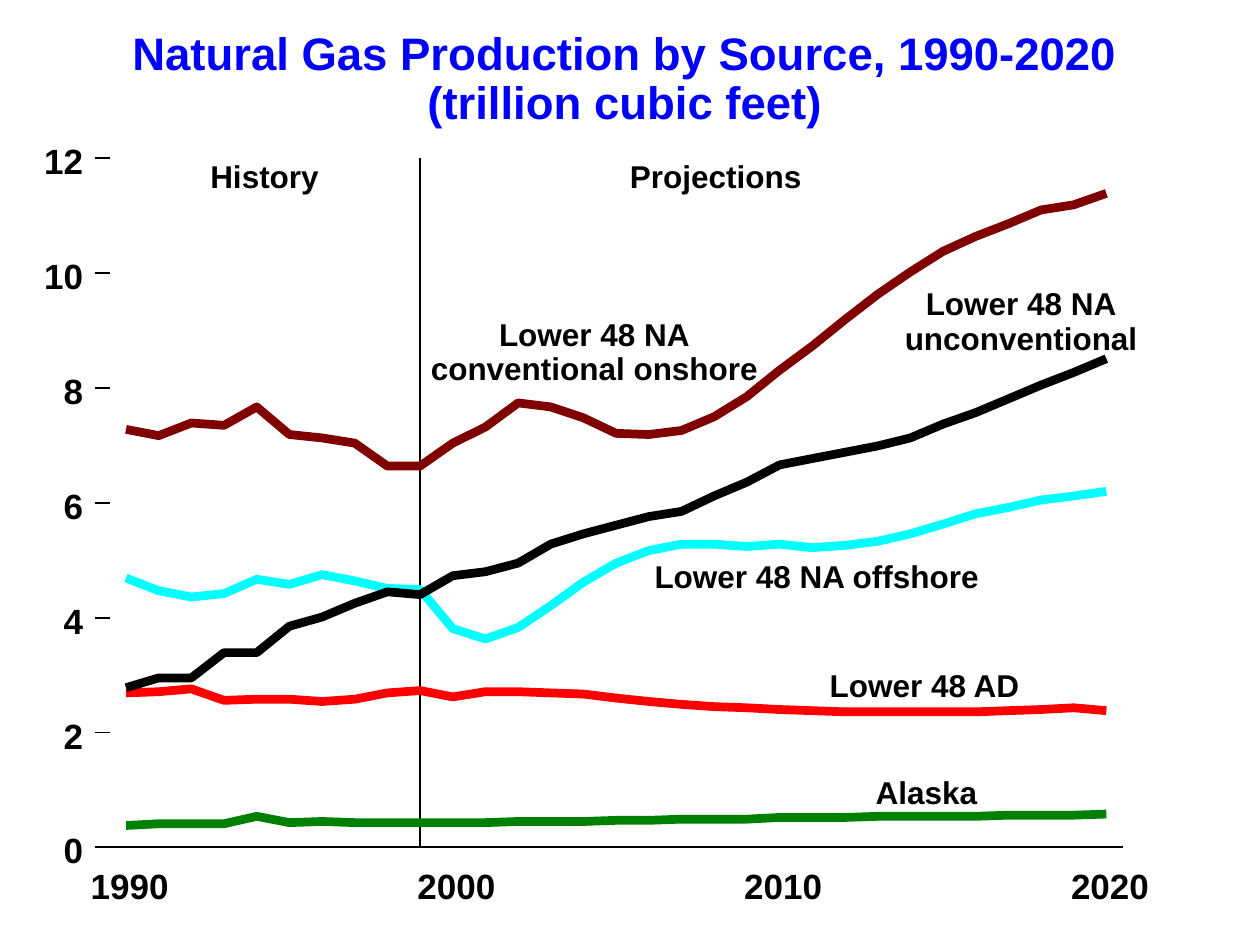
from lxml import etree
from pptx import Presentation
from pptx.dml.color import RGBColor
from pptx.enum import shapes, text
from pptx.oxml.ns import qn
from pptx.util import Pt

FIRST_YEAR, LAST_YEAR, MAX_VALUE = 1990, 2020, 12

SERIES = [
    ("008000", [0.38, 0.41, 0.41, 0.41, 0.54, 0.43, 0.45, 0.43, 0.43, 0.43, 0.43,
                0.43, 0.45, 0.45, 0.45, 0.47, 0.47, 0.49, 0.49, 0.49, 0.52,
                0.52, 0.52, 0.54, 0.54, 0.54, 0.54, 0.56, 0.56, 0.56, 0.58]),
    ("00FFFF", [4.69, 4.47, 4.36, 4.42, 4.67, 4.58, 4.75, 4.64, 4.51, 4.49, 3.81,
                3.63, 3.83, 4.21, 4.62, 4.95, 5.17, 5.28, 5.28, 5.24, 5.28,
                5.22, 5.26, 5.33, 5.46, 5.63, 5.81, 5.92, 6.05, 6.12, 6.2]),
    ("FF0000", [2.69, 2.71, 2.76, 2.56, 2.58, 2.58, 2.54, 2.58, 2.69, 2.73, 2.62,
                2.71, 2.71, 2.69, 2.67, 2.6, 2.54, 2.49, 2.45, 2.43, 2.4,
                2.38, 2.36, 2.36, 2.36, 2.36, 2.36, 2.38, 2.4, 2.43, 2.38]),
    ("000000", [2.78, 2.95, 2.95, 3.39, 3.39, 3.85, 4.01, 4.25, 4.45, 4.4, 4.73,
                4.8, 4.95, 5.28, 5.46, 5.61, 5.76, 5.85, 6.12, 6.36, 6.66,
                6.77, 6.88, 6.99, 7.13, 7.37, 7.57, 7.81, 8.05, 8.27, 8.51]),
    ("800000", [7.28, 7.17, 7.39, 7.35, 7.67, 7.19, 7.13, 7.04, 6.64, 6.64, 7.04,
                7.32, 7.74, 7.67, 7.48, 7.21, 7.19, 7.26, 7.5, 7.85, 8.31,
                8.73, 9.19, 9.63, 10.02, 10.38, 10.64, 10.86, 11.1, 11.19, 11.39]),
]

LABELS = [
    (173.2, 92.2, 189, ["Lower 48 NA", "conventional onshore"]),
    (47.2, 1.5, 64, ["History"]),
    (287, 1.5, 100, ["Projections"]),
    (400.8, 292.3, 111, ["Lower 48 AD"]),
    (427.4, 353.5, 60, ["Alaska"]),
    (444, 74.5, 135, ["Lower 48 NA", "unconventional"]),
    (300.7, 230, 188, ["Lower 48 NA offshore"]),
]


def rgb(value):
    """Turn a hex string into a colour."""
    return RGBColor.from_string(value)


def add_text(s, box, lines, size, color="000000", align="CENTER", spacing=None):
    """Place bold lines of text in a box without margins."""
    sp = s.shapes.add_textbox(*map(Pt, box))
    tf = sp.text_frame
    tf.margin_left = tf.margin_top = tf.margin_right = tf.margin_bottom = 0
    tf.word_wrap = False
    tf.auto_size = text.MSO_AUTO_SIZE.SHAPE_TO_FIT_TEXT
    tf.text = "\n".join(lines)
    for p in tf.paragraphs:
        p.alignment = getattr(text.PP_ALIGN, align)
        if spacing:
            p.line_spacing = spacing
        for r in p.runs:
            r.font.name, r.font.size, r.font.bold = "Arial", Pt(size), True
            r.font.color.rgb = rgb(color)


def add_rule(s, x1, y1, x2, y2):
    """Draw a thin black straight line."""
    sp = s.shapes.add_connector(shapes.MSO_CONNECTOR.STRAIGHT, *map(Pt, (x1, y1, x2, y2)))
    sp.line.color.rgb, sp.line.width = rgb("000000"), Pt(1)
    etree.SubElement(sp._element.spPr, qn("a:effectLst"))


def add_curve(s, points, color):
    """Draw one series as a thick open line."""
    points = [(Pt(x), Pt(y)) for x, y in points]
    builder = s.shapes.build_freeform(*points[0])
    builder.add_line_segments(points[1:], close=False)
    sp = builder.convert_to_shape()
    sp.shadow.inherit = False
    sp.fill.background()
    sp.line.color.rgb, sp.line.width = rgb(color), Pt(5)


def add_title(s, left, top, width, height):
    """Place the two-line title."""
    lines = ["Natural Gas Production by Source, 1990-2020", "(trillion cubic feet)"]
    add_text(s, (left, top, width, height), lines, 26, "0000FF", spacing=0.9)


def add_plot(s, left, top, width, height):
    """Draw the curves, axes and labels in the plot box."""
    def x_at(year):
        """Give the position of a year."""
        return left + width * (year - FIRST_YEAR) / (LAST_YEAR - FIRST_YEAR)

    def y_at(value):
        """Give the position of a value."""
        return top + height * (1 - value / MAX_VALUE)

    bottom = top + height
    add_rule(s, x_at(1999), top, x_at(1999), bottom)
    for color, values in SERIES:
        points = [(x_at(FIRST_YEAR + i), y_at(v)) for i, v in enumerate(values)]
        add_curve(s, points, color)

    add_rule(s, left - 9.4, bottom, left + width + 9.4, bottom)
    for value in range(0, MAX_VALUE + 1, 2):
        y = y_at(value)
        add_rule(s, left - 18, y, left - 9.4, y)
        label_width = 11.6 * len(str(value))
        box = (left - 24.5 - label_width, y - 10.6, label_width, 24)
        add_text(s, box, [str(value)], 20, align="RIGHT")
    for year in range(FIRST_YEAR, LAST_YEAR + 1, 10):
        add_text(s, (x_at(year) - 20.9, bottom + 9.5, 46, 24), [str(year)], 20)
    for x, y, w, lines in LABELS:
        add_text(s, (left + x, top + y, w, 19.4 * len(lines)), lines, 18, spacing=0.9)


def main():
    """Build and save the slide."""
    prs = Presentation()
    prs.slide_width, prs.slide_height = Pt(720), Pt(540)
    s = prs.slides.add_slide(prs.slide_layouts[6])
    add_title(s, 74.6, 18, 565, 56.2)
    add_plot(s, 72, 90.5, 560.2, 393.7)
    prs.save("out.pptx")


if __name__ == "__main__":
    main()
